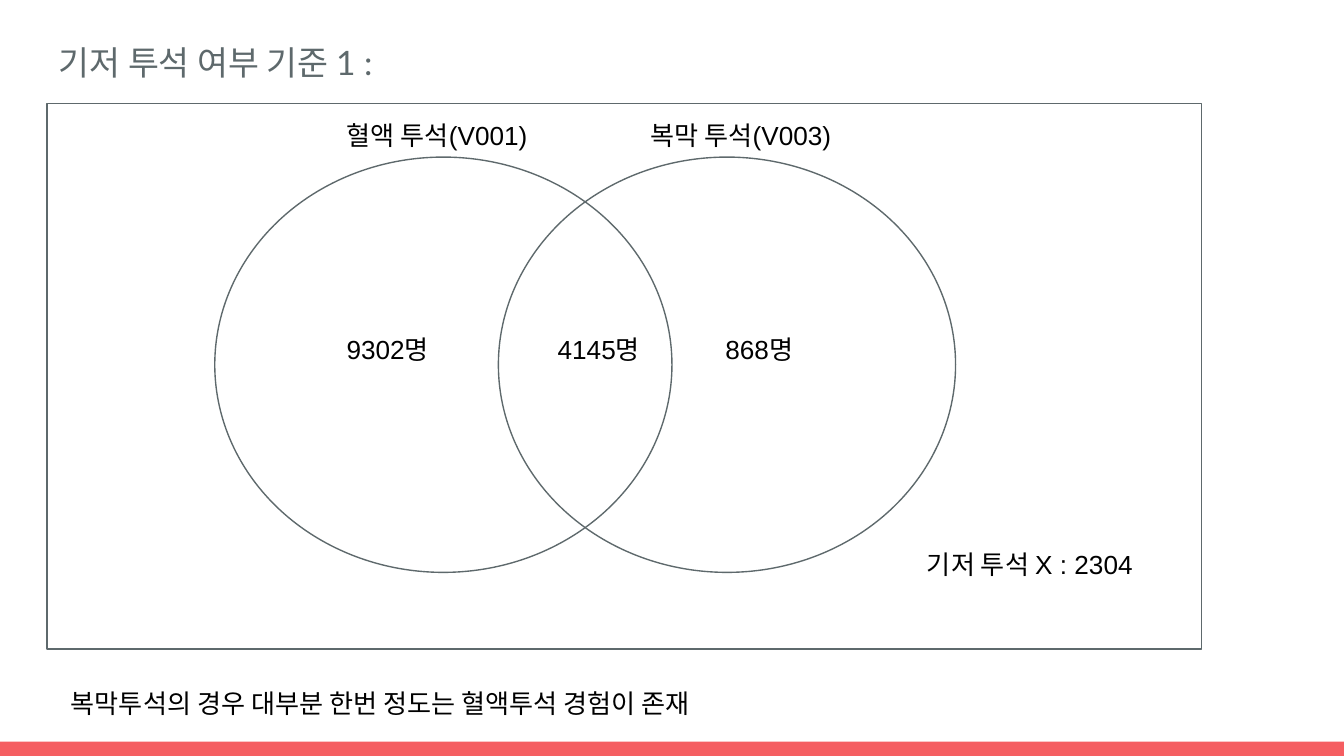
from dataclasses import dataclass

from pptx import Presentation
from pptx.dml.color import RGBColor
from pptx.enum.shapes import MSO_SHAPE as Preset
from pptx.enum.text import MSO_ANCHOR as Anchor
from pptx.util import Cm, Pt


@dataclass(frozen=True)
class Theme:
    accent: RGBColor = RGBColor(0xF5, 0x5E, 0x61)
    slate: RGBColor = RGBColor(0x5E, 0x69, 0x6C)
    ink: RGBColor = RGBColor(0, 0, 0)
    title_font: str = "Lato"
    body_font: str = "Arial"
    title_size: Pt = Pt(18)
    body_size: Pt = Pt(14)
    line_width: Pt = Pt(0.75)


THEME = Theme()
SLIDE_WIDTH, SLIDE_HEIGHT = 25.4, 14.29
INSET = Cm(0.25)
FRAME_FORMAT = {
    "word_wrap": True,
    "vertical_anchor": Anchor.TOP,
    "margin_left": INSET,
    "margin_right": INSET,
    "margin_top": INSET,
    "margin_bottom": INSET,
}
TITLE_FORMAT = {"name": THEME.title_font, "size": THEME.title_size}
BODY_FORMAT = {"name": THEME.body_font, "size": THEME.body_size}

CIRCLE_LEFTS = (4.06, 9.42)
CIRCLE_TOP, CIRCLE_WIDTH, CIRCLE_HEIGHT = 2.97, 8.64, 7.85
LABEL_WIDTH, LABEL_HEIGHT = 4.83, 1.12
SET_NAME_TOP, COUNT_TOP = 2.01, 6.05
LABELS = (
    ("혈액 투석(V001)", 6.3, SET_NAME_TOP),
    ("복막 투석(V003)", 12.04, SET_NAME_TOP),
    ("9302명", 6.3, COUNT_TOP),
    ("868명", 13.46, COUNT_TOP),
    ("4145명", 10.29, COUNT_TOP),
)


def set_attributes(target, values):
    for name, value in values.items():
        setattr(target, name, value)


def add_text(page, text, bounds, font=BODY_FORMAT, color=THEME.ink, spacing=1.0):
    box = page.shapes.add_textbox(*map(Cm, bounds))
    set_attributes(box.text_frame, FRAME_FORMAT)
    para = box.text_frame.paragraphs[0]
    para.line_spacing = spacing
    span = para.add_run()
    span.text = text
    set_attributes(span.font, font)
    span.font.color.rgb = color


def add_outline(page, preset, bounds):
    shape = page.shapes.add_shape(preset, *map(Cm, bounds))
    shape.shadow.inherit = False
    shape.fill.background()
    shape.line.color.rgb = THEME.slate
    shape.line.width = THEME.line_width


def add_bar(page, bounds):
    bar = page.shapes.add_shape(Preset.RECTANGLE, *map(Cm, bounds))
    bar.shadow.inherit = False
    bar.fill.solid()
    bar.fill.fore_color.rgb = THEME.accent
    bar.line.fill.background()


def main():
    deck = Presentation()
    set_attributes(deck, {"slide_width": Cm(SLIDE_WIDTH), "slide_height": Cm(SLIDE_HEIGHT)})
    page = deck.slides.add_slide(deck.slide_layouts[6])

    add_bar(page, (0, 14.02, SLIDE_WIDTH, 0.27))
    add_text(page, "기저 투석 여부 기준 1 :", (0.86, 0.43, 23.67, 12.32),
             TITLE_FORMAT, THEME.slate, 1.15)
    for left in CIRCLE_LEFTS:
        add_outline(page, Preset.OVAL, (left, CIRCLE_TOP, CIRCLE_WIDTH, CIRCLE_HEIGHT))
    for text, left, top in LABELS:
        add_text(page, text, (left, top, LABEL_WIDTH, LABEL_HEIGHT))
    add_outline(page, Preset.RECTANGLE, (0.89, 1.96, 21.82, 10.31))
    add_text(page, "기저 투석 X : 2304", (17.27, 10.11, 5.41, 1.57))
    add_text(page, "복막투석의 경우 대부분 한번 정도는 혈액투석 경험이 존재",
             (1.09, 12.75, 22.53, 0.91))

    deck.save("out.pptx")


if __name__ == "__main__":
    main()
